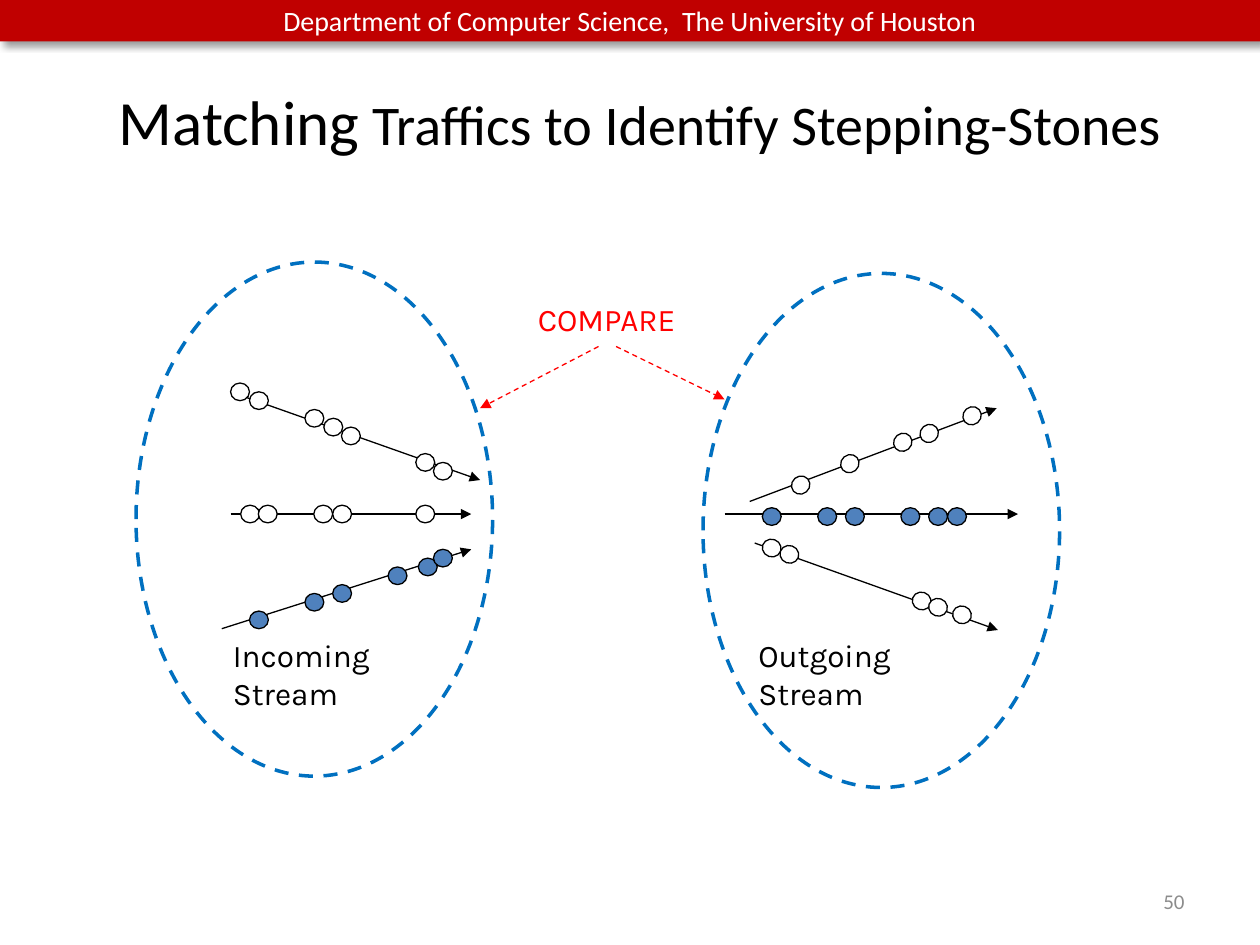
from lxml import etree
from pptx import Presentation
from pptx.dml.color import RGBColor
from pptx.enum.dml import MSO_LINE
from pptx.enum.shapes import MSO_CONNECTOR, MSO_SHAPE
from pptx.enum.text import MSO_ANCHOR, MSO_AUTO_SIZE, PP_ALIGN
from pptx.oxml import parse_xml
from pptx.oxml.ns import nsdecls, qn
from pptx.util import Inches, Pt

RECTANGLE, OVAL = MSO_SHAPE.RECTANGLE, MSO_SHAPE.OVAL
STRAIGHT = MSO_CONNECTOR.STRAIGHT
DASH = MSO_LINE.DASH
MIDDLE = MSO_ANCHOR.MIDDLE
LEFT, CENTER, RIGHT = PP_ALIGN.LEFT, PP_ALIGN.CENTER, PP_ALIGN.RIGHT

BLACK, WHITE, RED = "000000", "FFFFFF", "FF0000"
BANNER_RED, PACKET_BLUE, GROUP_BLUE, GRAY = "C00000", "4F81BD", "0070C0", "8C8C8C"
PACKET_WIDTH, PACKET_HEIGHT = 0.15, 0.14

# Content
BANNER = "Department of Computer Science,  The University of Houston"
TITLE = [("Matching", 36), (" Traffics to Identify Stepping-Stones", 32)]

# Each stream: arrow start, arrow end, packet colour, rotation, packet corners
STREAMS = [
    ((1.83, 3.11), (3.81, 3.81), WHITE, 0,
     [(1.83, 3.04), (1.98, 3.11), (2.42, 3.25), (2.57, 3.32), (2.71, 3.39),
      (3.3, 3.6), (3.44, 3.67)]),
    ((1.83, 4.08), (3.74, 4.08), WHITE, 0,
     [(x, 4.01) for x in (1.91, 2.05, 2.49, 2.64, 3.3)]),
    ((1.76, 4.99), (3.74, 4.36), PACKET_BLUE, 0,
     [(1.98, 4.85), (2.42, 4.71), (2.64, 4.64), (3.08, 4.5), (3.32, 4.43),
      (3.44, 4.36)]),
    ((5.95, 3.98), (7.91, 3.24), WHITE, 319.8,
     [(7.64, 3.23), (7.3, 3.37), (7.09, 3.44), (6.67, 3.61), (6.28, 3.78)]),
    ((5.75, 4.08), (8.08, 4.08), PACKET_BLUE, 0,
     [(x, 4.03) for x in (6.05, 6.49, 6.71, 7.15, 7.37, 7.52)]),
    ((5.99, 4.31), (7.92, 5), WHITE, 19,
     [(6.05, 4.28), (6.19, 4.33), (7.24, 4.7), (7.37, 4.75), (7.56, 4.81)]),
]
COMPARE_ARROWS = [((4.75, 2.75), (3.81, 3.24)), ((4.89, 2.75), (5.75, 3.17))]
GROUPS = [(1.08, 2.08), (5.58, 2.17)]
GROUP_WIDTH, GROUP_HEIGHT = 2.83, 4.08
LABELS = [
    ("COMPARE", (4.17, 2.33, 1.44, 0.4), RED),
    ("Incoming Stream", (1.75, 5, 1.94, 0.4), BLACK),
    ("Outgoing Stream", (5.92, 5, 2.08, 0.4), BLACK),
]


def color(value):
    return RGBColor.from_string(value)


def style_run(run, size, font_name, value):
    run.font.size = Pt(size)
    run.font.name = font_name
    run.font.color.rgb = color(value)


def style_line(line, value, width, dash=None):
    line.color.rgb = color(value)
    line.width = Pt(width)
    if dash:
        line.dash_style = dash


def add_shape(slide, kind, box, fill=None):
    shape = slide.shapes.add_shape(kind, *map(Inches, box))
    shape.shadow.inherit = False
    if fill:
        shape.fill.solid()
        shape.fill.fore_color.rgb = color(fill)
    else:
        shape.fill.background()
    return shape


def add_arrow(slide, start, end, value, dash=None):
    arrow = slide.shapes.add_connector(STRAIGHT, *map(Inches, start + end))
    style_line(arrow.line, value, 0.75, dash)
    line = arrow.line._get_or_add_ln()
    etree.SubElement(line, qn("a:tailEnd"), type="triangle")
    etree.SubElement(arrow._element.spPr, qn("a:effectLst"))


def add_label(slide, text, box, size, font_name, value, align=LEFT):
    label = slide.shapes.add_textbox(*map(Inches, box))
    frame = label.text_frame
    frame.word_wrap = True
    frame.text = text
    frame.paragraphs[0].alignment = align
    style_run(frame.paragraphs[0].runs[0], size, font_name, value)
    return frame


def add_banner(slide):
    banner = add_shape(slide, RECTANGLE, (0, 0, 10, 0.33), BANNER_RED)
    banner.line.fill.background()
    effects = banner._element.spPr.find(qn("a:effectLst"))
    effects.append(parse_xml(
        f'<a:outerShdw {nsdecls("a")} blurRad="{Pt(4)}" dist="{Pt(3)}" '
        'dir="2700000" algn="tl" rotWithShape="0"><a:srgbClr val="000000">'
        '<a:alpha val="40000"/></a:srgbClr></a:outerShdw>'))
    frame = banner.text_frame
    frame.text = BANNER
    frame.vertical_anchor = MIDDLE
    frame.paragraphs[0].alignment = CENTER
    style_run(frame.paragraphs[0].runs[0], 16, "Calibri", WHITE)


def add_title(slide):
    title = slide.shapes.title
    title.left, title.top, title.width, title.height = map(
        Inches, (0.58, 0.33, 9, 1.25))
    frame = title.text_frame
    frame.auto_size = MSO_AUTO_SIZE.NONE
    frame.vertical_anchor = MIDDLE
    paragraph = frame.paragraphs[0]
    paragraph.alignment = CENTER
    for text, size in TITLE:
        run = paragraph.add_run()
        run.text = text
        style_run(run, size, "Calibri", BLACK)


def main():
    presentation = Presentation()
    presentation.slide_width, presentation.slide_height = Inches(10), Inches(7.5)
    slide = presentation.slides.add_slide(presentation.slide_layouts[5])
    add_banner(slide)
    add_title(slide)

    # Streams with their packets
    for start, end, fill, rotation, packets in STREAMS:
        add_arrow(slide, start, end, BLACK)
        for left, top in packets:
            packet = add_shape(
                slide, OVAL, (left, top, PACKET_WIDTH, PACKET_HEIGHT), fill)
            packet.rotation = rotation
            style_line(packet.line, BLACK, 0.75)

    # Comparison arrows and labels
    for start, end in COMPARE_ARROWS:
        add_arrow(slide, start, end, RED, DASH)
    for text, box, value in LABELS:
        add_label(slide, text, box, 18, "Karla", value)

    # Dashed outlines around each side
    for left, top in GROUPS:
        group = add_shape(slide, OVAL, (left, top, GROUP_WIDTH, GROUP_HEIGHT))
        style_line(group.line, GROUP_BLUE, 2, DASH)

    # Slide number
    number = add_label(slide, "50", (7.17, 6.95, 2.33, 0.4), 12, "Calibri", GRAY, RIGHT)
    number.vertical_anchor = MIDDLE
    presentation.save("out.pptx")


if __name__ == "__main__":
    main()
